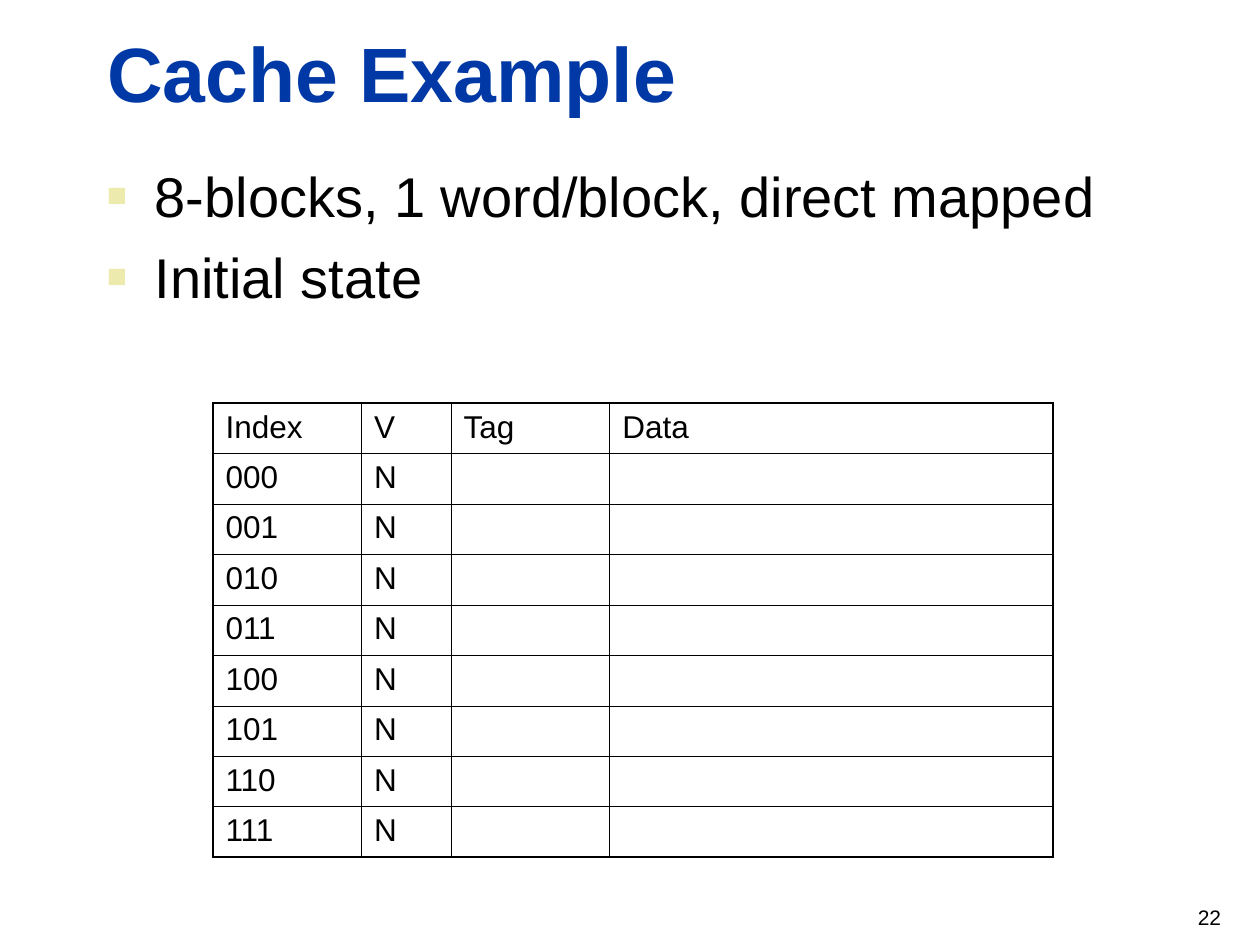
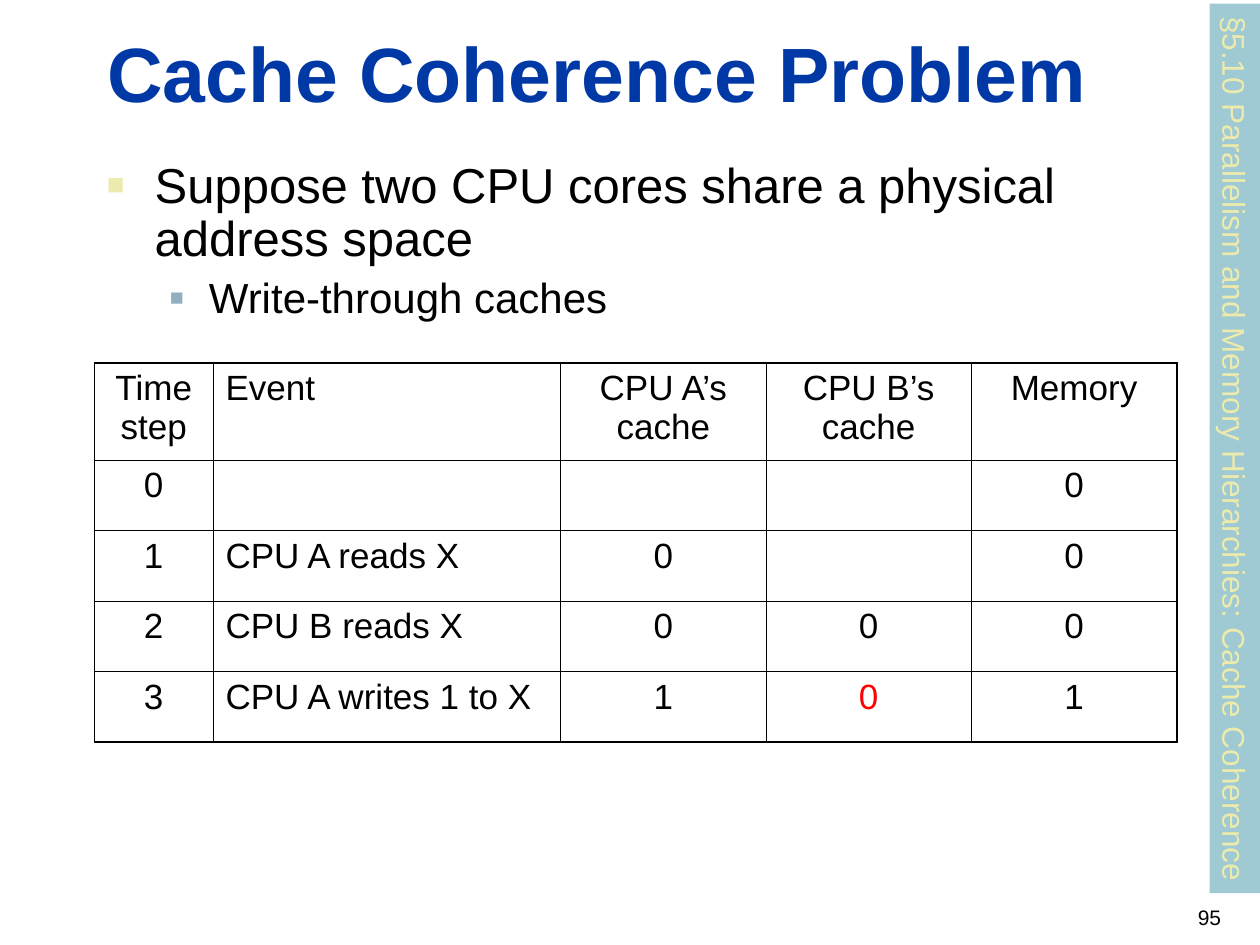
from dataclasses import dataclass

from lxml.etree import SubElement
from pptx import Presentation
from pptx.dml.color import RGBColor
from pptx.enum.shapes import MSO_SHAPE as Preset
from pptx.enum.text import MSO_ANCHOR as Anchor, MSO_AUTO_SIZE as AutoSize, PP_ALIGN as Align
from pptx.oxml.ns import qn
from pptx.util import Inches, Pt

INDICES = [f"{index:03b}" for index in range(8)]

SLIDES = [
    dict(
        title="Cache Example",
        number="22",
        bullets=[
            (0, "8-blocks, 1 word/block, direct mapped", 32, 8),
            (0, "Initial state", 32, 8),
        ],
        line_spacing=None,
        body_height=1.46,
        table=dict(
            rows=[("Index", "V", "Tag", "Data")]
            + [(index, "N", "", "") for index in INDICES],
            at=(1.69, 3.2),
            columns=(1.18, 0.71, 1.26, 3.52),
            heights=[0.4] * 9,
            size=18,
            space=4.5,
            centred=(),
            header_rule=0.75,
            stale=None,
        ),
    ),
    dict(
        title="Cache Coherence Problem",
        number="95",
        bullets=[
            (0, "Suppose two CPU cores share a physical address space", 28, 7),
            (1, "Write-through caches", 24, 6),
        ],
        line_spacing=0.9,
        body_height=1.49,
        band="§5.10 Parallelism and Memory Hierarchies: Cache Coherence",
        table=dict(
            rows=[
                ("Time step", "Event", "CPU A’s cache", "CPU B’s cache", "Memory"),
                ("0", "", "", "", "0"),
                ("1", "CPU A reads X", "0", "", "0"),
                ("2", "CPU B reads X", "0", "0", "0"),
                ("3", "CPU A writes 1 to X", "1", "0", "1"),
            ],
            at=(0.75, 2.88),
            columns=(0.94, 2.76, 1.63, 1.63, 1.63),
            heights=[0.77] + [0.56] * 4,
            size=20,
            space=5,
            centred=(0, 2, 3, 4),
            header_rule=0.45,
            stale=(4, 3),
        ),
    ),
]


@dataclass(frozen=True)
class Theme:
    font: str = "Arial"
    title: str = "0039A6"
    text: str = "000000"
    alert: str = "FF0000"
    band: str = "9FCAD3"
    band_text: str = "ECEAAC"
    title_size: int = 44
    band_size: int = 18
    number_size: int = 12
    outer_rule: float = 1.08
    inner_rule: float = 0.45


THEME = Theme()
WIDTH, HEIGHT = 10, 7.5
LEFT = 0.75
BULLET_LEVELS = [
    dict(indent=0.38, hanging=0.38, color="ECEAAC", percent=60),
    dict(indent=0.81, hanging=0.31, color="91AFBF", percent=55),
]


def apply(target, **values):
    for name, value in values.items():
        setattr(target, name, value)


def write(para, text, size, color=THEME.text, bold=False, **para_format):
    apply(para, **para_format)
    if not text:
        return
    span = para.add_run()
    span.text = text
    apply(span.font, name=THEME.font, size=Pt(size), bold=bold)
    span.font.color.rgb = RGBColor.from_string(color)


def add_box(page, *area):
    box = page.shapes.add_textbox(*map(Inches, area))
    box.text_frame.word_wrap = True
    return box.text_frame


def add_title(page, text):
    title = page.shapes.title
    for name, value in dict(left=LEFT, top=0.16, width=9.03, height=0.83).items():
        setattr(title, name, Inches(value))
    frame = title.text_frame
    apply(frame, vertical_anchor=Anchor.BOTTOM, auto_size=AutoSize.NONE)
    write(frame.paragraphs[0], text, THEME.title_size, THEME.title, True, alignment=Align.LEFT)


def add_bullet_mark(para, indent, hanging, color, percent):
    props = para._p.get_or_add_pPr()
    props.set("marL", str(Inches(indent)))
    props.set("indent", str(-Inches(hanging)))
    SubElement(SubElement(props, qn("a:buClr")), qn("a:srgbClr"), val=color)
    SubElement(props, qn("a:buSzPct"), val=str(percent * 1000))
    SubElement(props, qn("a:buFont"), typeface=THEME.font)
    SubElement(props, qn("a:buChar"), char="■")


def add_bullets(page, bullets, height, line_spacing):
    frame = add_box(page, LEFT, 1.23, 9.04, height)
    for order, (level, text, size, space) in enumerate(bullets):
        para = frame.add_paragraph() if order else frame.paragraphs[0]
        add_bullet_mark(para, **BULLET_LEVELS[level])
        write(para, text, size, level=level, space_before=Pt(space), line_spacing=line_spacing)


def add_band(page, text):
    length, depth, top = 7.06, 0.4, 0.03
    left = WIDTH - (depth + length) / 2
    band = page.shapes.add_shape(
        Preset.RECTANGLE,
        *map(Inches, (left, top + (length - depth) / 2, length, depth)),
    )
    band.rotation = 90
    band.shadow.inherit = False
    band.fill.solid()
    band.fill.fore_color.rgb = RGBColor.from_string(THEME.band)
    band.line.fill.background()
    apply(band.text_frame, word_wrap=False, vertical_anchor=Anchor.TOP)
    write(band.text_frame.paragraphs[0], text, THEME.band_size, THEME.band_text,
          alignment=Align.LEFT)


def rule_cell(cell, widths):
    props = cell._tc.get_or_add_tcPr()
    for side, width in zip("LRTB", widths):
        line = SubElement(props, qn(f"a:ln{side}"), w=str(Pt(width)))
        SubElement(SubElement(line, qn("a:solidFill")), qn("a:srgbClr"), val=THEME.text)
    cell.fill.background()


def add_grid(page, rows, at, columns, heights, size, space, centred, header_rule, stale):
    area = (*at, sum(columns), sum(heights))
    grid = page.shapes.add_table(len(rows), len(columns), *map(Inches, area)).table
    apply(grid, first_row=False, horz_banding=False)
    for column, width in zip(grid.columns, columns):
        column.width = Inches(width)
    for row, height in zip(grid.rows, heights):
        row.height = Inches(height)

    def horizontal_rule(edge):
        if edge in (0, len(rows)):
            return THEME.outer_rule
        return header_rule if edge == 1 else THEME.inner_rule

    def vertical_rule(edge):
        return THEME.outer_rule if edge in (0, len(columns)) else THEME.inner_rule

    for r, texts in enumerate(rows):
        for c, text in enumerate(texts):
            cell = grid.cell(r, c)
            rule_cell(cell, (vertical_rule(c), vertical_rule(c + 1),
                             horizontal_rule(r), horizontal_rule(r + 1)))
            write(cell.text_frame.paragraphs[0], text, size,
                  THEME.alert if (r, c) == stale else THEME.text,
                  alignment=Align.CENTER if c in centred else Align.LEFT,
                  space_before=Pt(space))


def add_number(page, number):
    frame = add_box(page, 7.54, 7.08, 2.25, 0.4)
    frame.vertical_anchor = Anchor.MIDDLE
    write(frame.paragraphs[0], number, THEME.number_size, alignment=Align.RIGHT)


def main():
    deck = Presentation()
    apply(deck, slide_width=Inches(WIDTH), slide_height=Inches(HEIGHT))
    title_only = deck.slide_layouts.get_by_name("Title Only")
    for content in SLIDES:
        page = deck.slides.add_slide(title_only)
        add_title(page, content["title"])
        add_bullets(page, content["bullets"], content["body_height"], content["line_spacing"])
        if "band" in content:
            add_band(page, content["band"])
        add_grid(page, **content["table"])
        add_number(page, content["number"])
    deck.save("out.pptx")


if __name__ == "__main__":
    main()
